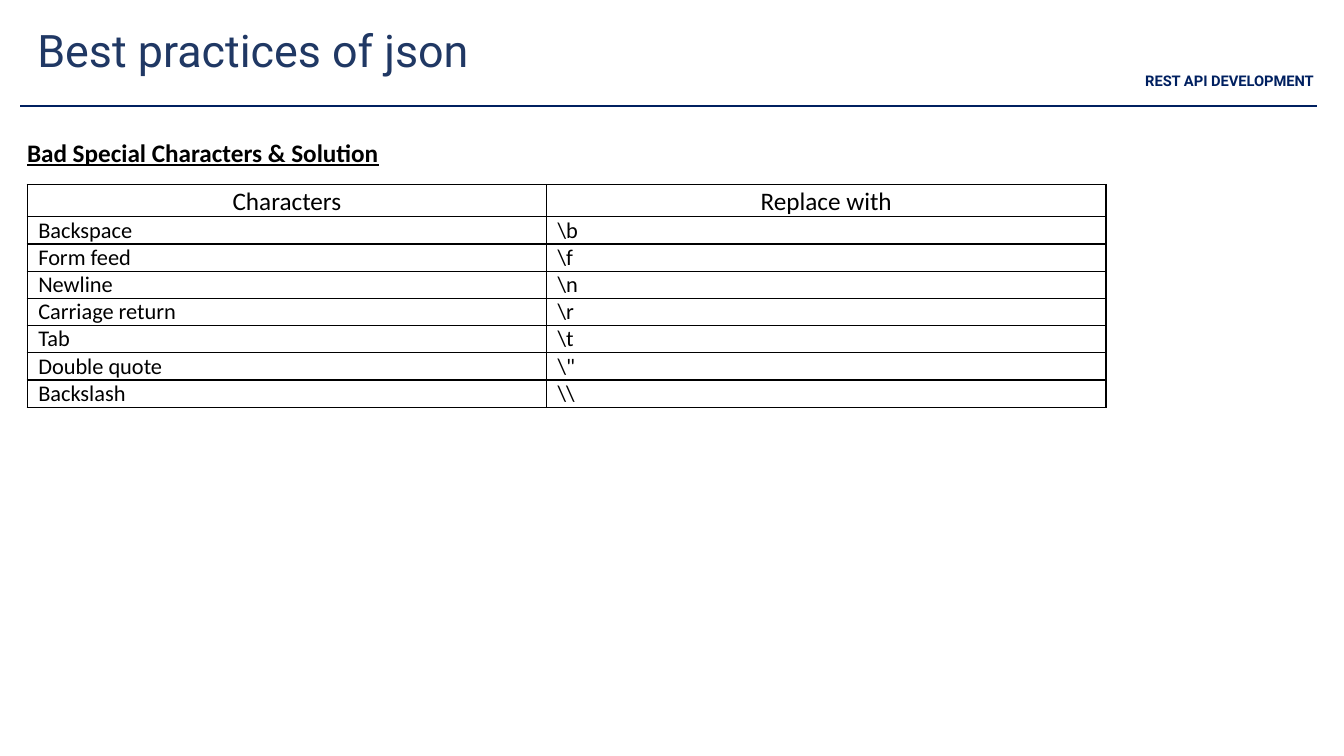
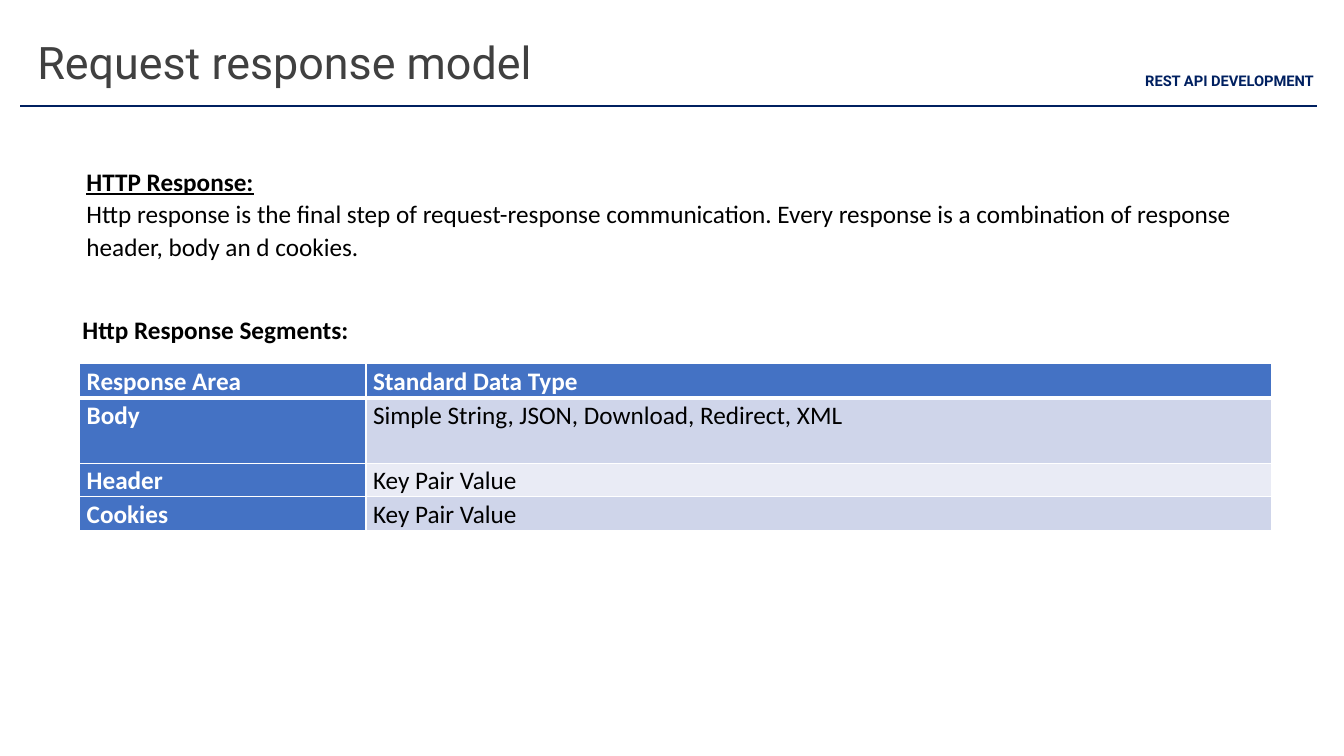
from lxml import etree
from pptx import Presentation
from pptx.dml.color import RGBColor
from pptx.enum.shapes import MSO_CONNECTOR
from pptx.enum.text import MSO_ANCHOR, MSO_AUTO_SIZE, PP_ALIGN
from pptx.oxml.ns import qn
from pptx.util import Pt

LEFT, CENTER = PP_ALIGN.LEFT, PP_ALIGN.CENTER
TOP = MSO_ANCHOR.TOP
FIXED = MSO_AUTO_SIZE.NONE
STRAIGHT = MSO_CONNECTOR.STRAIGHT

PX = 9144  # 100 px to the inch
HEAD, BODY = "Roboto", "Calibri"
LOOSE = 1.07
COLOR = {
    "navy": "002060",
    "title": "203864",
    "gray": "404040",
    "black": "000000",
    "white": "FFFFFF",
    "blue": "4472C4",
    "band": "CFD5EA",
    "pale": "E9EBF5",
}

ESCAPES = [
    ("Characters", "Replace with"),
    ("Backspace", r"\b"),
    ("Form feed", r"\f"),
    ("Newline", r"\n"),
    ("Carriage return", r"\r"),
    ("Tab", r"\t"),
    ("Double quote", r"\""),
    ("Backslash", r"\\"),
]
SEGMENTS = [
    ("Response Area", "Standard Data Type"),
    ("Body", "Simple String, JSON, Download, Redirect, XML"),
    ("Header", "Key Pair Value"),
    ("Cookies", "Key Pair Value"),
]


def px(*sizes):
    return [size * PX for size in sizes]


def rgb(name):
    return RGBColor.from_string(COLOR[name])


def write(para, text, size=18, font=BODY, color="black", bold=False,
          under=False, align=LEFT, lead=1.0, after=0):
    para.alignment = align
    para.line_spacing = lead
    para.space_before, para.space_after = Pt(0), Pt(after)
    run = para.add_run()
    run.text = text
    face = run.font
    face.name, face.size = font, Pt(size)
    face.bold, face.underline = bold, under
    face.color.rgb = rgb(color)


def add_text(slide, box, *paras):
    """Add a text box; each paragraph is a (text, style) pair."""
    frame = slide.shapes.add_textbox(*px(*box)).text_frame
    frame.word_wrap = True
    for i, (text, style) in enumerate(paras):
        para = frame.add_paragraph() if i else frame.paragraphs[0]
        write(para, text, **style)


def add_rule(slide, x1, x2, y):
    rule = slide.shapes.add_connector(STRAIGHT, *px(x1, y, x2, y))
    rule.line.color.rgb = rgb("navy")
    rule.line.width = Pt(1.5)
    etree.SubElement(rule.element.spPr, qn("a:effectLst"))


def add_page(deck, title, box, color, lead=1.0):
    """Add a slide with its title, course label and header rule."""
    slide = deck.slides.add_slide(deck.slide_layouts[5])
    head = slide.shapes.title
    head.left, head.top, head.width, head.height = px(*box)
    frame = head.text_frame
    frame.auto_size, frame.vertical_anchor = FIXED, TOP
    frame.word_wrap = True
    write(frame.paragraphs[0], title, 32, HEAD, color, lead=lead)
    add_text(slide, (1124, 66, 191, 28),
             ("REST API DEVELOPMENT",
              dict(size=10.5, font=HEAD, color="navy", bold=True, align=CENTER)))
    add_rule(slide, 20, 1306, 105)
    return slide


def set_edges(cell, color, base=1, top=1):
    props = cell._tc.get_or_add_tcPr()
    for side, width in (("L", 1), ("R", 1), ("T", top), ("B", base)):
        edge = etree.SubElement(props, qn(f"a:ln{side}"), w=str(Pt(width)))
        fill = etree.SubElement(edge, qn("a:solidFill"))
        etree.SubElement(fill, qn("a:srgbClr"), val=COLOR[color])


def add_grid(slide, spot, cols, rows, data, inset, edge, look):
    """Add a table; look(row, col) gives a cell's fill and text style."""
    box = px(*spot, sum(cols), sum(rows))
    grid = slide.shapes.add_table(len(rows), len(cols), *box).table
    for col, width in zip(grid.columns, cols):
        col.width = width * PX
    for row, height in zip(grid.rows, rows):
        row.height = height * PX
    for r, texts in enumerate(data):
        for c, text in enumerate(texts):
            cell = grid.cell(r, c)
            cell.margin_left = cell.margin_right = inset * PX
            cell.margin_top = cell.margin_bottom = 0
            fill, style = look(r, c)
            heavy = 3 if fill else 1
            set_edges(cell, edge, heavy if r == 0 else 1, heavy if r == 1 else 1)
            if fill:
                cell.fill.solid()
                cell.fill.fore_color.rgb = rgb(fill)
            else:
                cell.fill.background()
            write(cell.text_frame.paragraphs[0], text, **style)


def plain_look(row, col):
    if row == 0:
        return None, dict(align=CENTER, lead=LOOSE)
    return None, dict(size=16)


def band_look(row, col):
    if row == 0 or col == 0:
        return "blue", dict(color="white", bold=True, lead=LOOSE)
    return ("band" if row % 2 else "pale"), dict(lead=LOOSE)


def add_escapes(deck):
    slide = add_page(deck, "Best practices of json", (27, 18, 647, 64), "title")
    add_text(slide, (17, 129, 667, 41),
             ("Bad Special Characters & Solution",
              dict(bold=True, under=True, lead=LOOSE, after=8)))
    add_grid(slide, (27, 183), (515, 555), [32] + [27] * 7, ESCAPES,
             11, "black", plain_look)


def add_response(deck):
    slide = add_page(deck, "Request response model", (27, 3, 647, 82), "gray", 1.5)
    add_text(slide, (76, 160, 1183, 147),
             ("HTTP Response:", dict(bold=True, under=True)),
             ("Http response is the final step of request-response communication. "
              "Every response is a combination of response header, body an d cookies.",
              dict(lead=LOOSE, after=8)))
    add_text(slide, (72, 307, 1183, 71),
             ("Http Response Segments:", dict(bold=True)))
    add_grid(slide, (79, 361), (284, 898), (34, 65, 33, 33), SEGMENTS,
             7, "white", band_look)


def main():
    deck = Presentation()
    deck.slide_width, deck.slide_height = px(1333, 750)
    add_escapes(deck)
    add_response(deck)
    deck.save("out.pptx")


if __name__ == "__main__":
    main()
